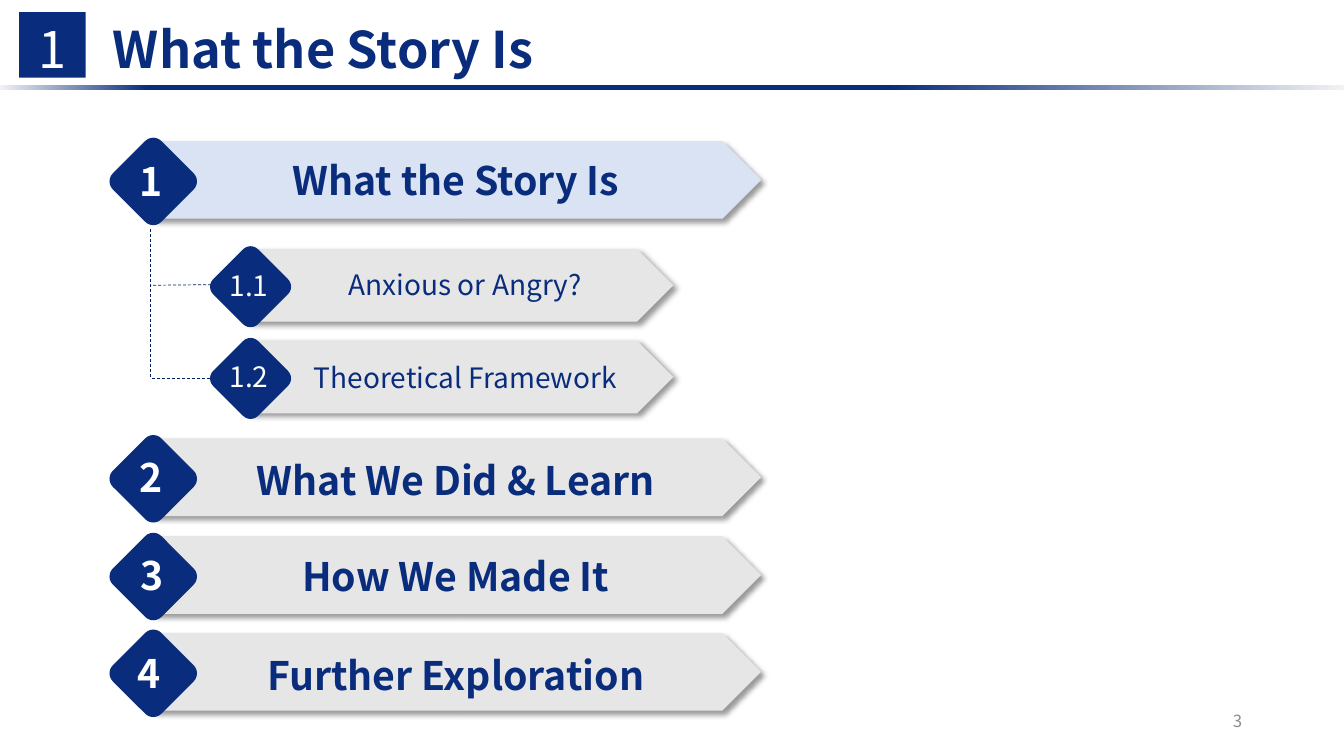
from lxml import etree
from pptx import Presentation
from pptx.dml.color import RGBColor
from pptx.enum.dml import MSO_LINE_DASH_STYLE as Dash
from pptx.enum.shapes import MSO_CONNECTOR as Connector, MSO_SHAPE as Shape
from pptx.enum.text import MSO_ANCHOR as Anchor, MSO_AUTO_SIZE as AutoSize, PP_ALIGN as Align
from pptx.oxml import parse_xml
from pptx.oxml.ns import nsdecls, qn
from pptx.util import Inches, Pt

FONT = "Noto Sans CJK SC"
COLORS = {"navy": "092D7C", "branch": "002060", "current": "DAE3F3", "gray": "E7E6E6",
          "fade": "F2F2F2", "white": "FFFFFF", "page": "8C8C8C", "shadow": "000000"}

CHAPTER = ("1", "What the Story Is")
PAGE_NUMBER = "3"
# number, heading, bar color, bar top, number left, number top, heading top
SECTIONS = [
    ("1", "What the Story Is", "current", 1.40, 1.29, 1.51, 1.50),
    ("2", "What We Did & Learn", "gray", 4.35, 1.29, 4.45, 4.48),
    ("3", "How We Made It", "gray", 5.32, 1.30, 5.42, 5.43),
    ("4", "Further Exploration", "gray", 6.28, 1.27, 6.39, 6.41),
]
SUBSECTIONS = [
    ("1.1", "Anxious or Angry?", "gray", 2.47, 2.17, 2.61, 2.60),
    ("1.2", "Theoretical Framework", "gray", 3.38, 2.17, 3.52, 3.53),
]
SECTION_STYLE = {"bar": (1.52, 6.03, 0.77), "diamond": (1.18, 0.68), "number": (0.44, 0.57),
                 "heading": (2.09, 4.86), "size": 28, "bold": True, "align": Align.LEFT}
SUBSECTION_STYLE = {"bar": (2.48, 4.2, 0.72), "diamond": (2.17, 0.63), "number": (0.6, 0.44),
                    "heading": (2.93, 3.37), "size": 20, "bold": False, "align": Align.CENTER}
BRANCHES = [(1.49, 2.27, 1.49, 3.74), (2.58, 3.75, 1.49, 3.75), (2.59, 2.82, 1.49, 2.83)]
RULE_STOPS = [(0, "fade"), (11, "navy"), (66, "navy"), (100, "fade")]

prs = Presentation()
prs.slide_width, prs.slide_height = Inches(13.33), Inches(7.5)
slide = prs.slides.add_slide(prs.slide_layouts[5])


def rgb(color):
    return RGBColor.from_string(COLORS[color])


def add_block(kind, box, color):
    block = slide.shapes.add_shape(kind, *map(Inches, box))
    block.fill.solid()
    block.fill.fore_color.rgb = rgb(color)
    block.line.fill.background()
    block.shadow.inherit = False
    return block


def write(holder, wording, size, color, bold=False, align=Align.CENTER, wrap=True, anchor=Anchor.TOP):
    frame = holder.text_frame
    frame.text = wording
    frame.word_wrap = wrap
    frame.auto_size = AutoSize.NONE
    frame.vertical_anchor = anchor
    paragraph = frame.paragraphs[0]
    paragraph.alignment = align
    font = paragraph.runs[0].font
    font.name, font.size, font.bold = FONT, Pt(size), bold
    font.color.rgb = rgb(color)


def add_label(box, *args, **kwargs):
    write(slide.shapes.add_textbox(*map(Inches, box)), *args, **kwargs)


def cast_shadow(block):
    effects = block._element.spPr.find(qn("a:effectLst"))
    effects.append(parse_xml(
        f'<a:outerShdw {nsdecls("a")} blurRad="{Pt(4)}" dist="{Pt(3)}" dir="{45 * 60000}" '
        f'algn="tl" rotWithShape="0"><a:srgbClr val="{COLORS["shadow"]}">'
        '<a:alpha val="40000"/></a:srgbClr></a:outerShdw>'))


def add_entry(entry, style):
    number, heading, color, top, number_left, number_top, heading_top = entry
    bar_left, bar_width, bar_height = style["bar"]
    diamond_left, side = style["diamond"]
    number_width, line_height = style["number"]
    heading_left, heading_width = style["heading"]
    cast_shadow(add_block(Shape.PENTAGON, (bar_left, top, bar_width, bar_height), color))
    diamond = add_block(Shape.ROUNDED_RECTANGLE, (diamond_left, top + 0.06, side, side), "navy")
    diamond.rotation = 45
    add_label((number_left, number_top, number_width, line_height), number, style["size"],
              "white", style["bold"], style["align"], wrap=False)
    add_label((heading_left, heading_top, heading_width, line_height), heading, style["size"],
              "navy", style["bold"])


rule = add_block(Shape.RECTANGLE, (0, 0.84, 13.33, 0.05), "navy")
stops = "".join(f'<a:gs pos="{pos * 1000}"><a:srgbClr val="{COLORS[color]}"/></a:gs>'
                for pos, color in RULE_STOPS)
solid = rule._element.spPr.find(qn("a:solidFill"))
solid.getparent().replace(solid, parse_xml(
    f'<a:gradFill {nsdecls("a")} rotWithShape="1"><a:gsLst>{stops}</a:gsLst>'
    '<a:lin ang="0" scaled="0"/></a:gradFill>'))

for ends in BRANCHES:
    branch = slide.shapes.add_connector(Connector.STRAIGHT, *map(Inches, ends))
    branch.line.color.rgb = rgb("branch")
    branch.line.width = Pt(0.5)
    branch.line.dash_style = Dash.DASH
    etree.SubElement(branch._element.spPr, qn("a:effectLst"))

for section in SECTIONS:
    add_entry(section, SECTION_STYLE)
for subsection in SUBSECTIONS:
    add_entry(subsection, SUBSECTION_STYLE)

chapter_number, chapter_title = CHAPTER
add_block(Shape.RECTANGLE, (0.19, 0.12, 0.66, 0.65), "navy")
add_label((0.25, 0.13, 0.54, 0.71), chapter_number, 36, "white")
title = slide.shapes.title
title.left, title.top, title.width, title.height = map(Inches, (0.79, 0.13, 4.83, 0.71))
write(title, chapter_title, 36, "navy", bold=True)
add_label((9.42, 6.95, 3, 0.4), PAGE_NUMBER, 12, "page", align=Align.RIGHT, anchor=Anchor.MIDDLE)

prs.save("out.pptx")
